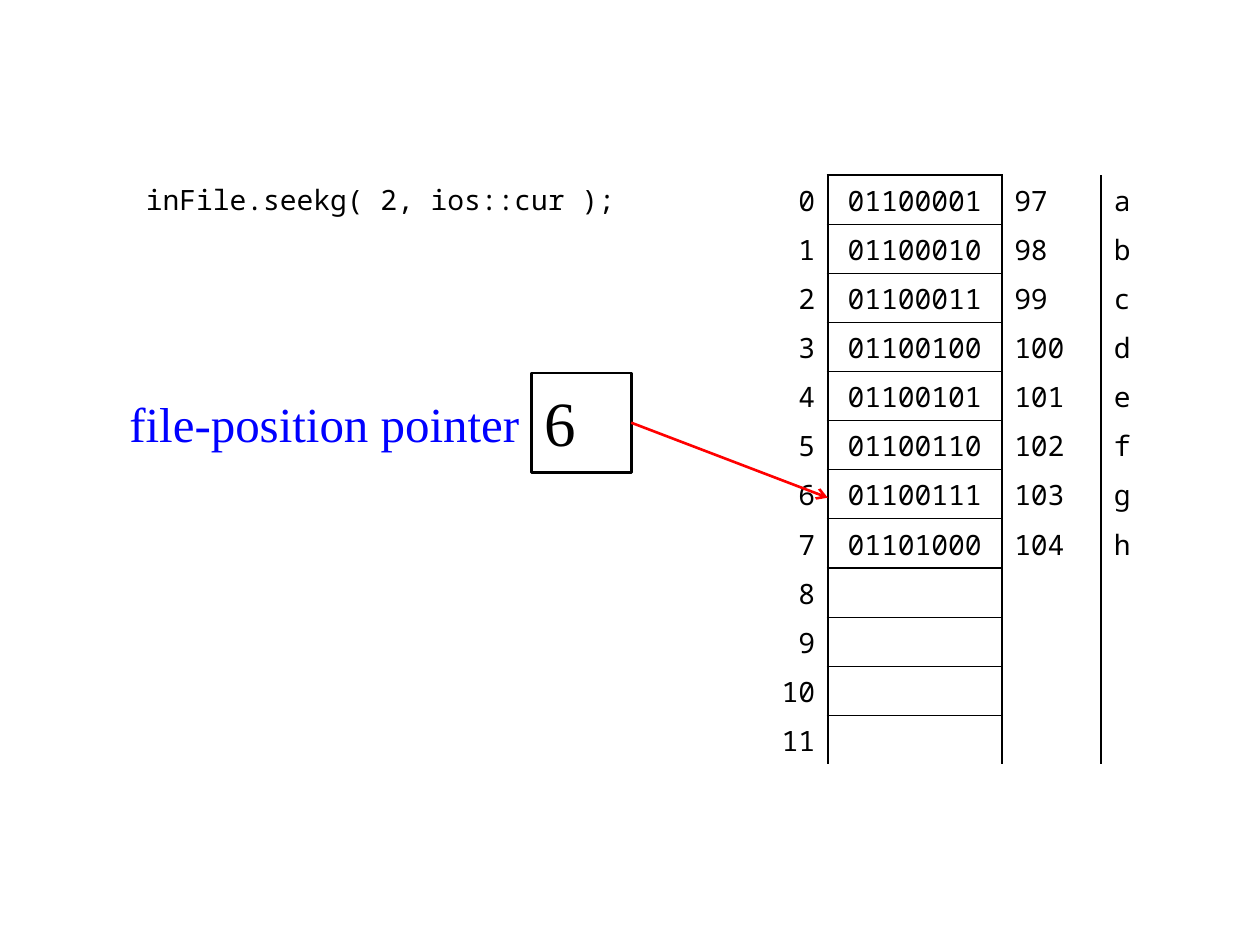
from lxml.etree import SubElement
from pptx import Presentation
from pptx.dml.color import RGBColor
from pptx.enum.shapes import MSO_CONNECTOR as CONN, MSO_SHAPE as SHAPE
from pptx.enum.text import MSO_ANCHOR as ANCHOR, PP_ALIGN as ALIGN
from pptx.oxml import parse_xml
from pptx.oxml.ns import nsdecls, qn
from pptx.util import Inches, Pt

MONO, SERIF = "Noto Sans Mono", "Times New Roman"
NO_STYLE = "{2D5ABB26-0587-4C30-8999-92F81FD0307C}"


def color(value):
    """Return the colour for a hex string."""
    return RGBColor.from_string(value)


def write(tf, text, size, font, fill="000000", align=ALIGN.LEFT):
    """Put one formatted paragraph in a text frame."""
    tf.vertical_anchor = ANCHOR.MIDDLE
    p = tf.paragraphs[0]
    p.alignment = align
    p.font.size, p.font.name = Pt(size), font
    p.font.color.rgb = color(fill)
    if text:
        p.add_run().text = text


def add_label(s, box, *args, **kwargs):
    """Add a text box with one line of text."""
    tf = s.shapes.add_textbox(*map(Inches, box)).text_frame
    tf.word_wrap = True
    write(tf, *args, **kwargs)


def set_borders(cell, **widths):
    """Draw black borders of the given point widths on the named sides."""
    tcPr = cell._tc.get_or_add_tcPr()
    sides = [side for side in "LRTB" if side in widths]
    for i, side in enumerate(sides):
        tcPr.insert(i, parse_xml(
            f'<a:ln{side} {nsdecls("a")} w="{Pt(widths[side])}"><a:solidFill>'
            f'<a:srgbClr val="000000"/></a:solidFill></a:ln{side}>'))


def add_memory(s, left, top, letters, count):
    """Add the table of byte positions, bits, codes and characters."""
    widths, row_height = (0.59, 1.38, 0.79, 0.39), 0.39
    aligns = (ALIGN.RIGHT, ALIGN.CENTER, ALIGN.LEFT, ALIGN.LEFT)
    frame = s.shapes.add_table(count, len(widths), Inches(left), Inches(top),
                               Inches(sum(widths)), Inches(row_height * count))
    table = frame.table
    table.first_row = table.horz_banding = False
    table._tbl.tblPr.find(qn("a:tableStyleId")).text = NO_STYLE
    for column, width in zip(table.columns, widths):
        column.width = Inches(width)
    for i in range(count):
        row = [str(i), "", "", ""]
        if i < len(letters):
            code = ord(letters[i])
            row[1:] = f"{code:08b}", str(code), letters[i]
        for j, (text, align) in enumerate(zip(row, aligns)):
            cell = table.cell(i, j)
            cell.fill.solid()
            cell.fill.fore_color.rgb = color("FFFFFF")
            write(cell.text_frame, text, 16, MONO, align=align)
            cell.vertical_anchor = ANCHOR.MIDDLE
        borders = {"L": 1.5, "R": 1.5, "T": 0.75 if i else 1.5}
        if i < count - 1:
            borders["B"] = 0.75
        set_borders(table.cell(i, 1), **borders)
        set_borders(table.cell(i, 0), R=1.5)
        set_borders(table.cell(i, 2), L=1.5)


def add_pointer(s, left, top, value, target):
    """Add the pointer label, its value box and the arrow to the target."""
    label_width, side = 3.35, 0.79
    box_left = left + label_width
    add_label(s, (left, top, label_width, side), "file-position pointer",
              28, SERIF, "0000FF", ALIGN.RIGHT)
    box = s.shapes.add_shape(SHAPE.RECTANGLE, Inches(box_left), Inches(top),
                             Inches(side), Inches(side))
    box.shadow.inherit = False
    box.fill.background()
    box.line.color.rgb = color("000000")
    box.line.width = Pt(1.5)
    tf = box.text_frame
    tf.margin_top, tf.margin_bottom = 0, Inches(0.02)
    write(tf, value, 36, SERIF)
    arrow = s.shapes.add_connector(
        CONN.STRAIGHT, Inches(box_left + side), Inches(top + side / 2),
        *map(Inches, target))
    arrow.line.color.rgb = color("FF0000")
    arrow.line.width = Pt(1.5)
    SubElement(arrow.line._get_or_add_ln(), qn("a:tailEnd"), type="arrow")
    SubElement(arrow._element.spPr, qn("a:effectLst"))


def build():
    """Build and save the slide."""
    prs = Presentation()
    prs.slide_width, prs.slide_height = Inches(10), Inches(7.5)
    s = prs.slides.add_slide(prs.slide_layouts[6])
    add_label(s, (1.06, 1.39, 4.13, 0.39), "inFile.seekg( 2, ios::cur );", 16, MONO)
    add_memory(s, 5.98, 1.39, "abcdefgh", 12)
    add_pointer(s, 0.87, 2.96, "6", (6.57, 3.95))
    prs.save("out.pptx")


build()
